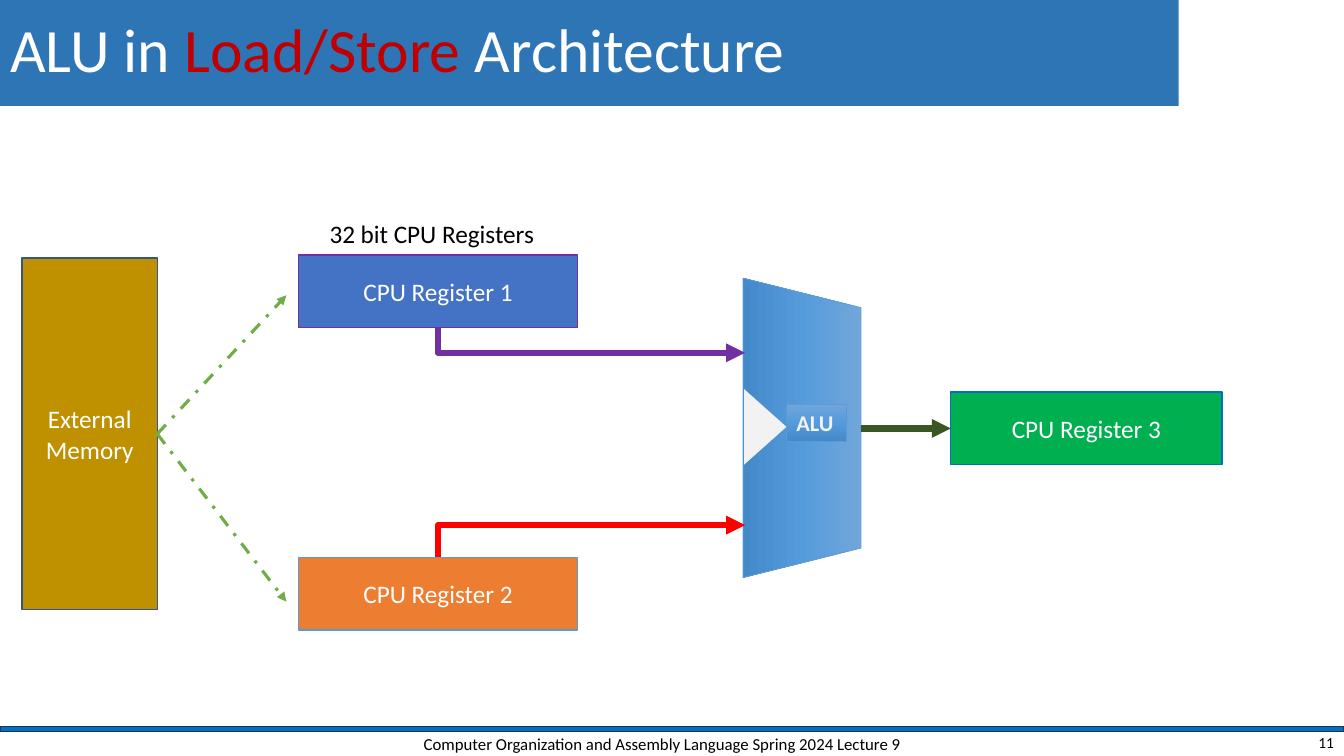
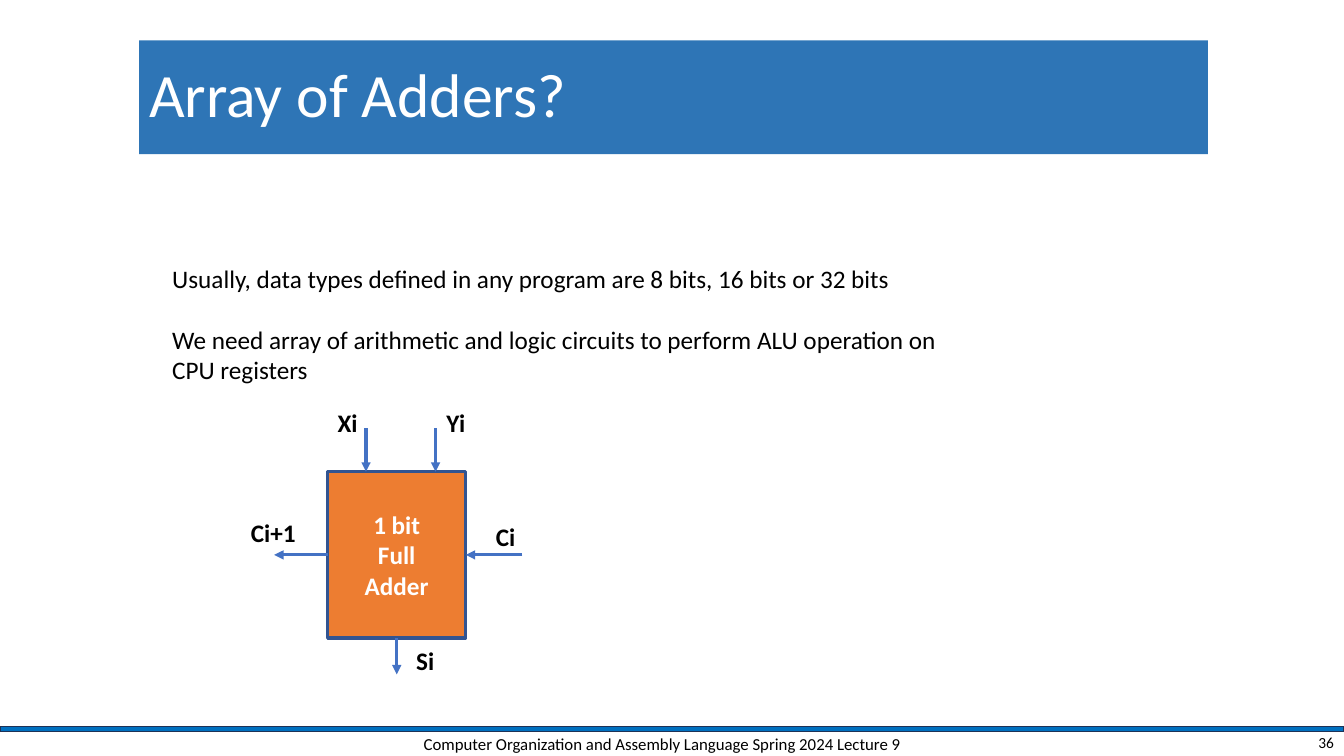
from copy import deepcopy

from lxml import etree
from pptx import Presentation
from pptx.dml.color import RGBColor
from pptx.enum.dml import MSO_LINE as Dash
from pptx.enum.shapes import MSO_CONNECTOR as Conn, MSO_SHAPE as Shape
from pptx.enum.text import MSO_ANCHOR as Anchor, MSO_AUTO_SIZE as Fit, PP_ALIGN as Align
from pptx.oxml.ns import qn
from pptx.util import Inches, Pt

WHITE = RGBColor(0xFF, 0xFF, 0xFF)
BLACK = RGBColor(0x00, 0x00, 0x00)
PALE = RGBColor(0xF2, 0xF2, 0xF2)
BAND = RGBColor(0x2E, 0x75, 0xB6)
RULE = RGBColor(0x00, 0x70, 0xC0)
NAVY = RGBColor(0x1E, 0x32, 0x56)
EDGE = RGBColor(0x32, 0x54, 0x91)
BLUE = RGBColor(0x44, 0x72, 0xC4)
SKY = RGBColor(0x5B, 0x9B, 0xD5)
ORANGE = RGBColor(0xED, 0x7D, 0x31)
PURPLE = RGBColor(0x70, 0x30, 0xA0)
GOLD = RGBColor(0xBF, 0x90, 0x00)
RED = RGBColor(0xFF, 0x00, 0x00)
CRIMSON = RGBColor(0xC0, 0x00, 0x00)
LEAF = RGBColor(0x70, 0xAD, 0x47)
FOREST = RGBColor(0x38, 0x57, 0x23)
GREEN = RGBColor(0x00, 0xB0, 0x50)
SHADES = (RGBColor(0x71, 0xA6, 0xDB), RGBColor(0x55, 0x9B, 0xDB), RGBColor(0x44, 0x8A, 0xCA))

FONT = "Calibri"
WIDE, HIGH = 13.33, 7.5
FOOTER = "Computer Organization and Assembly Language Spring 2024 Lecture 9"


# Text and shapes
def style(para, size, color=None, bold=False, align=Align.LEFT):
    para.alignment = align
    font = para.font
    font.name, font.size, font.bold = FONT, Pt(size), bold
    if color is not None:
        font.color.rgb = color


def write(frame, lines, size=18, color=BLACK, bold=False, align=Align.LEFT, gap=0):
    frame.word_wrap = True
    for i, line in enumerate(lines):
        para = frame.add_paragraph() if i else frame.paragraphs[0]
        para.text = line
        if i and gap:
            para.space_before = Pt(gap)
        style(para, size, color, bold, align)


def label(slide, x, y, w, h, *lines, anchor=Anchor.TOP, **look):
    box = slide.shapes.add_textbox(Inches(x), Inches(y), Inches(w), Inches(h))
    box.text_frame.vertical_anchor = anchor
    write(box.text_frame, lines, **look)


def block(slide, x, y, w, h, fill=None, line=None, width=1, kind=Shape.RECTANGLE):
    shape = slide.shapes.add_shape(kind, Inches(x), Inches(y), Inches(w), Inches(h))
    shape.shadow.inherit = False
    if fill is None:
        shade(shape)
    else:
        shape.fill.solid()
        shape.fill.fore_color.rgb = fill
    if line is None:
        shape.line.fill.background()
    else:
        shape.line.color.rgb = line
        shape.line.width = Pt(width)
    return shape


def named(slide, x, y, w, h, lines, fill, line, width=1, bold=False):
    shape = block(slide, x, y, w, h, fill, line, width)
    shape.text_frame.vertical_anchor = Anchor.MIDDLE
    write(shape.text_frame, lines, color=WHITE, bold=bold, align=Align.CENTER)
    return shape


def shade(shape):
    """Fill from top to bottom with the three shades."""
    fill = shape.fill
    fill.gradient()
    fill.gradient_angle = 270
    stops = shape._element.spPr.find(qn("a:gradFill")).find(qn("a:gsLst"))
    stops.insert(1, deepcopy(stops[0]))
    for i, (stop, color) in enumerate(zip(fill.gradient_stops, SHADES)):
        stop.color.rgb = color
        stop.position = i / 2


def turned(slide, x, y, w, h, **look):
    """Quarter-turned shape that covers the box as seen."""
    shape = block(slide, x + (w - h) / 2, y + (h - w) / 2, h, w, **look)
    shape.rotation = 90
    return shape


# Connectors
def arrow(slide, start, end, color, width, dash=None, source=None, target=None,
          kind=Conn.STRAIGHT):
    """Source and target are (shape, side) pairs to join."""
    ends = [Inches(v) for v in (*start, *end)]
    link = slide.shapes.add_connector(kind, *ends)
    if source:
        link.begin_connect(*source)
    if target:
        link.end_connect(*target)
    link.line.color.rgb = color
    link.line.width = Pt(width)
    if dash:
        link.line.dash_style = dash
    etree.SubElement(link.line._get_or_add_ln(), qn("a:tailEnd"), type="triangle")
    etree.SubElement(link._element.spPr, qn("a:effectLst"))
    return link


def elbow(slide, start, end, color, source):
    """Arrow that leaves upright, then turns right."""
    link = arrow(slide, start, end, color, 4.5, source=source, kind=Conn.ELBOW)
    (x, y), (right, bend) = start, end
    w, h = abs(bend - y), right - x
    link.left, link.top = Inches((x + right - w) / 2), Inches((y + bend - h) / 2)
    link.width, link.height = Inches(w), Inches(h)
    props = link._element.spPr
    props.find(qn("a:prstGeom")).set("prst", "bentConnector2")
    frame = props.find(qn("a:xfrm"))
    down = bend > y
    frame.set("rot", str((270 if down else 90) * 60000))
    frame.set("flipH", "1")
    frame.set("flipV", "0" if down else "1")


# Shared slide frame
def base(deck, box, parts, page):
    slide = deck.slides.add_slide(deck.slide_layouts[5])
    block(slide, 0, 7.21, WIDE, 0.05, RULE, NAVY)
    title = slide.shapes.title
    title.left, title.top, title.width, title.height = (Inches(v) for v in box)
    title.fill.solid()
    title.fill.fore_color.rgb = BAND
    frame = title.text_frame
    frame.auto_size, frame.vertical_anchor = Fit.NONE, Anchor.MIDDLE
    para = frame.paragraphs[0]
    para.line_spacing = 0.9
    style(para, 44)
    for text, color in parts:
        run = para.add_run()
        run.text = text
        run.font.color.rgb = color
    label(slide, 3.92, 7.24, 5.3, 0.28, FOOTER, size=12, align=Align.CENTER,
          anchor=Anchor.MIDDLE)
    label(slide, 10.33, 7.24, 3, 0.25, page, size=11, align=Align.RIGHT,
          anchor=Anchor.MIDDLE)
    return slide


# Diagram regions
def alu(slide, x, y, w, h):
    turned(slide, x, y, w, h, line=SKY, width=0.5, kind=Shape.TRAPEZOID)
    turned(slide, x + 0.01, y + 1.1, 0.42, 0.75, fill=PALE, kind=Shape.ISOSCELES_TRIANGLE)
    tag = block(slide, x + 0.43, y + 1.25, 0.59, 0.37, line=SKY, width=0.5)
    tag.text_frame.vertical_anchor = Anchor.TOP
    write(tag.text_frame, ["ALU"], size=16, color=PALE, bold=True)


def flow(slide, x, y):
    """Memory, registers and ALU, from the top left of the memory."""
    memory = named(slide, x, y, 1.34, 3.49, ["External", "Memory"], GOLD, EDGE)
    left, w, h = x + 2.74, 2.77, 0.72
    label(slide, left + 0.21, y - 0.44, 2.66, 0.4, "32 bit CPU Registers")
    unit = x + 7.15
    alu(slide, unit, y + 0.2, 1.17, 2.97)
    mid = left + w / 2
    rows = ((y - 0.03, BLUE, PURPLE, PURPLE, 2, 0.97, 0.37),
            (y + 2.97, ORANGE, SKY, RED, 0, -0.32, 3.41))
    for i, (top, fill, line, wire, side, bend, tip) in enumerate(rows, 1):
        store = named(slide, left, top, w, h, [f"CPU Register {i}"], fill, line)
        edge = top + h if side == 2 else top
        elbow(slide, (mid, edge), (unit + 0.02, top + bend), wire, (store, side))
        arrow(slide, (x + 1.34, y + 1.75), (x + 2.62, y + tip), LEAF, 2.25,
              Dash.DASH_DOT, source=(memory, 3))
    result = named(slide, x + 9.21, y + 1.33, 2.69, h, ["CPU Register 3"], GREEN, RULE)
    arrow(slide, (unit + 1.17, y + 1.69), (x + 9.21, y + 1.69), FOREST, 4.5,
          target=(result, 1))


def adder(slide, x, y, w, h):
    cell = named(slide, x, y, w, h, ["1 bit", "Full", "Adder"], ORANGE, EDGE, 2.25, True)
    mid, half = x + w / 2, y + h / 2
    wires = (
        ((x + 0.38, y - 0.43), (x + 0.38, y), {}),
        ((x + 1.07, y - 0.43), (x + 1.07, y), {}),
        ((x + w + 0.56, half), (x + w, half), {"target": (cell, 3)}),
        ((mid, y + h), (mid, y + h + 0.36), {"source": (cell, 2)}),
        ((x, half), (x - 0.53, half), {"source": (cell, 1)}),
    )
    for start, end, joint in wires:
        arrow(slide, start, end, BLUE, 2.25, **joint)
    pins = (("Xi", 0, -0.69), ("Yi", 1.08, -0.69), ("Ci", 1.57, 0.44),
            ("Si", 0.78, 1.67), ("Ci+1", -0.86, 0.4))
    for name, dx, dy in pins:
        label(slide, x + dx, y + dy, 0.71, 0.4, name, bold=True)


# Slides
def main():
    deck = Presentation()
    deck.slide_width, deck.slide_height = Inches(WIDE), Inches(HIGH)

    store = base(deck, (0, -0.01, 11.69, 1.06),
                 [("ALU in ", WHITE), ("Load/Store ", CRIMSON), ("Architecture", WHITE)], "11")
    flow(store, 0.22, 2.56)

    array = base(deck, (1.38, 0.4, 10.6, 1.13), [("Array of Adders?", WHITE)], "36")
    label(array, 1.61, 2.56, 8, 1.92,
          "Usually, data types defined in any program are 8 bits, 16 bits or 32 bits",
          "We need array of arithmetic and logic circuits to perform ALU operation on "
          "CPU registers", gap=22)
    adder(array, 3.25, 4.68, 1.37, 1.65)

    deck.save("out.pptx")


if __name__ == "__main__":
    main()
